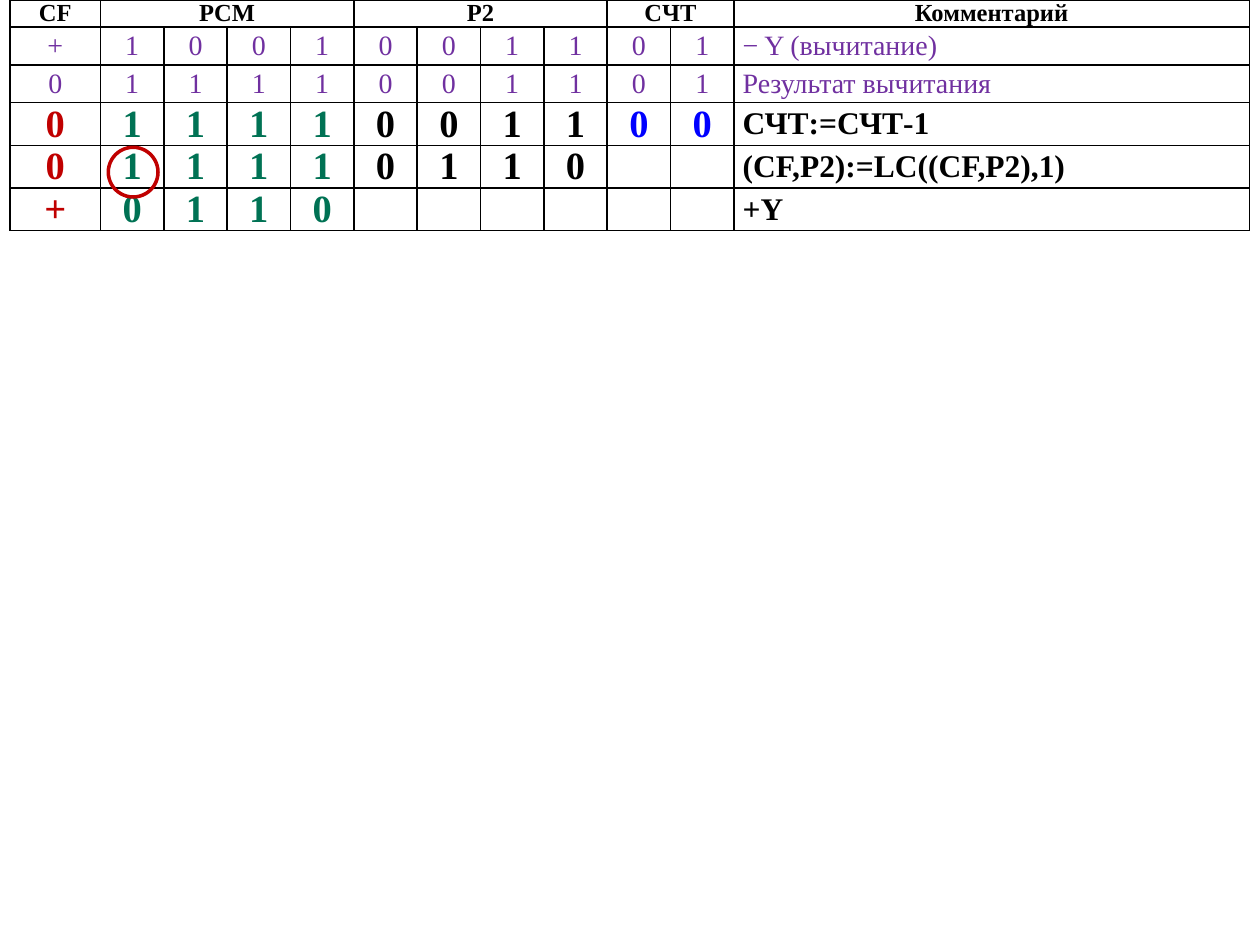
import pptx
import pptx.dml.color
import pptx.enum.shapes
import pptx.enum.text
import pptx.oxml
import pptx.oxml.ns
import pptx.util

Pt = pptx.util.Pt
ALIGN = pptx.enum.text.PP_ALIGN
ANCHOR = pptx.enum.text.MSO_ANCHOR

BLACK, VIOLET, RED, GREEN, BLUE = "000000", "7030A0", "C00000", "007254", "0000FF"
REGISTERS = [("CF", 1), ("PCM", 4), ("P2", 4), ("CЧТ", 2), ("Комментарий", 1)]
REGISTER_COLORS = [RED] + [GREEN] * 4 + [BLACK] * 4 + [BLUE] * 2
# One character per bit column, then the comment
DONE_STEPS = [
    ("+1001001101", "− Y (вычитание)"),
    ("01111001101", "Результат вычитания"),
]
CURRENT_STEPS = [
    ("01111001100", "СЧТ:=СЧТ-1"),
    ("011110110", "(CF,P2):=LC((CF,P2),1)"),
    ("+0110", "+Y"),
]
COL_WIDTHS = [51.6] + [36.2] * 10 + [294.6]
ROW_HEIGHTS = [10.8] + [21.6] * 5


def rgb(value):
    return pptx.dml.color.RGBColor.from_string(value)


class SlideBuilder:
    font = "Times New Roman"

    def __init__(self, slide):
        self.s = slide

    def table(self, x, y, height, widths, heights):
        gf = self.s.shapes.add_table(len(heights), len(widths), Pt(x), Pt(y),
                                     Pt(sum(widths)), Pt(height))
        table = gf.table
        table.first_row = table.horz_banding = False
        for column, width in zip(table.columns, widths):
            column.width = Pt(width)
        for row, row_height in zip(table.rows, heights):
            row.height = Pt(row_height)
        gf.height = Pt(height)
        for cell in table.iter_cells():
            self.format_cell(cell)
        return table

    def format_cell(self, cell):
        """Clear the fill, set the margins and draw all four borders."""
        layout = {"margin_left": Pt(5), "margin_right": Pt(5), "margin_top": 0,
                  "margin_bottom": 0, "vertical_anchor": ANCHOR.MIDDLE}
        for name, value in layout.items():
            setattr(cell, name, value)
        tc_pr = cell._tc.get_or_add_tcPr()
        for side in ("lnL", "lnR", "lnT", "lnB"):
            tc_pr.append(pptx.oxml.parse_xml(
                f'<a:{side} {pptx.oxml.ns.nsdecls("a")} w="{Pt(1)}"><a:solidFill>'
                f'<a:srgbClr val="{BLACK}"/></a:solidFill></a:{side}>'))
        cell.fill.background()

    def cell_text(self, cell, text, size, color, bold=True, align=ALIGN.CENTER):
        p = cell.text_frame.paragraphs[0]
        p.alignment, p.space_after = align, Pt(1)
        r = p.add_run()
        r.text = text
        for name, value in {"name": self.font, "size": Pt(size), "bold": bold}.items():
            setattr(r.font, name, value)
        r.font.color.rgb = rgb(color)

    def ring(self, x, y, size, color, weight):
        sp = self.s.shapes.add_shape(pptx.enum.shapes.MSO_SHAPE.OVAL,
                                     Pt(x), Pt(y), Pt(size), Pt(size))
        sp.shadow.inherit = False
        sp.fill.background()
        sp.line.color.rgb = rgb(color)
        sp.line.width = Pt(weight)


def main():
    prs = pptx.Presentation()
    prs.slide_width, prs.slide_height = Pt(720), Pt(540)
    builder = SlideBuilder(prs.slides.add_slide(prs.slide_layouts[6]))
    table = builder.table(5.8, 0, 139.7, COL_WIDTHS, ROW_HEIGHTS)

    col = 0
    for title, span in REGISTERS:
        cell = table.cell(0, col)
        if span > 1:
            cell.merge(table.cell(0, col + span - 1))
        cell.vertical_anchor = ANCHOR.TOP
        builder.cell_text(cell, title, 14, BLACK)
        col += span

    comment_col = len(COL_WIDTHS) - 1
    for row, (bits, comment) in enumerate(DONE_STEPS + CURRENT_STEPS, 1):
        done = row <= len(DONE_STEPS)
        for col, bit in enumerate(bits):
            color = VIOLET if done else REGISTER_COLORS[col]
            builder.cell_text(table.cell(row, col), bit, 16 if done else 22, color, not done)
        builder.cell_text(table.cell(row, comment_col), comment, 16 if done else 18,
                          VIOLET if done else BLACK, not done, ALIGN.LEFT)

    builder.ring(61.9, 84.2, 28.4, RED, 2)
    prs.save("out.pptx")


if __name__ == "__main__":
    main()
